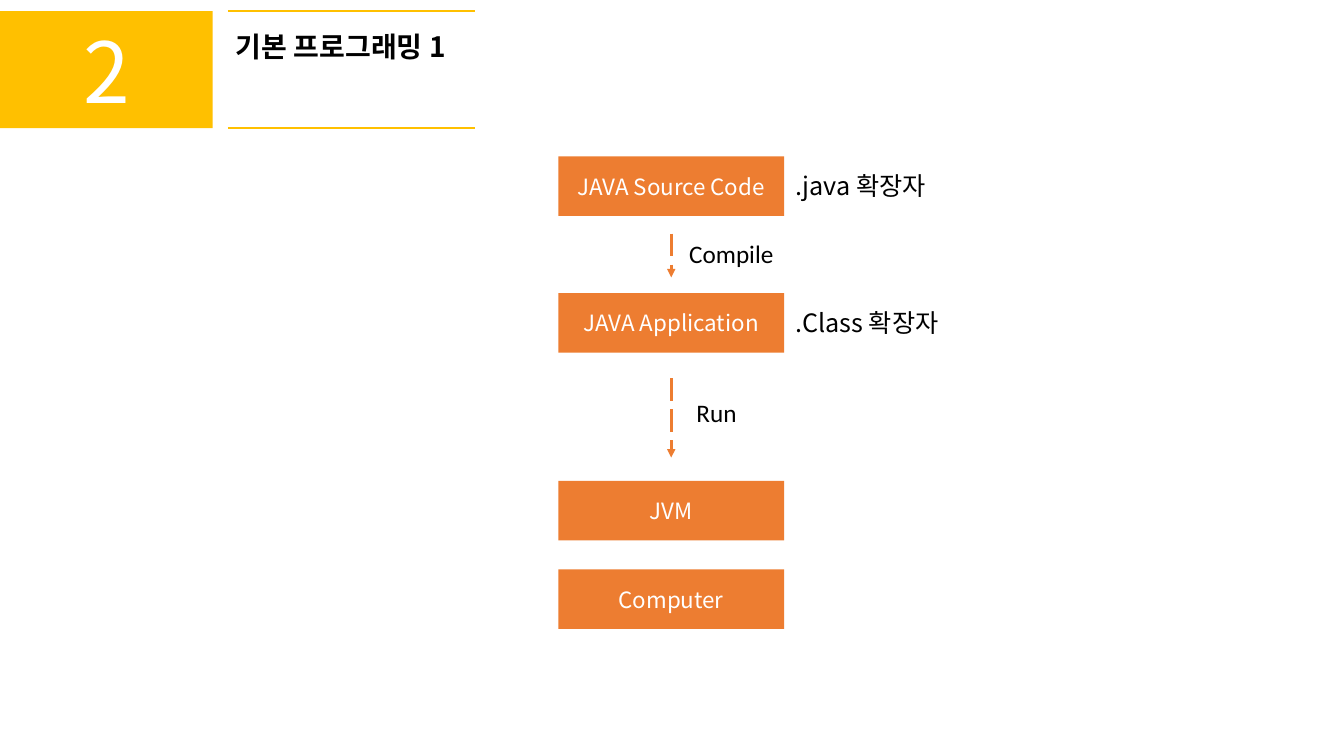
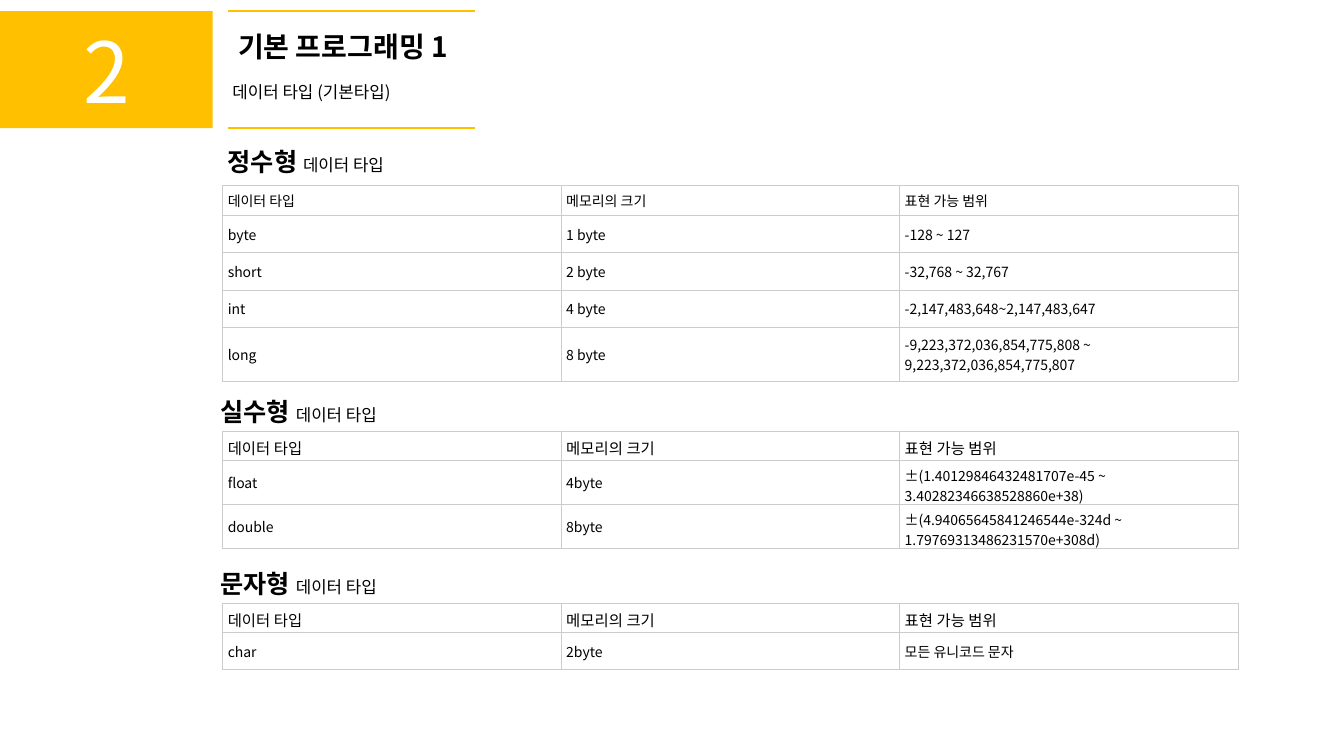
from lxml import etree
from pptx import Presentation
from pptx.dml.color import RGBColor
from pptx.enum.dml import MSO_LINE
from pptx.enum.shapes import MSO_CONNECTOR, MSO_SHAPE
from pptx.enum.text import MSO_ANCHOR, MSO_AUTO_SIZE, PP_ALIGN
from pptx.oxml.ns import qn
from pptx.util import Cm, Pt

# Palette and fonts
GOLD = RGBColor(0xFF, 0xC0, 0x00)
ORANGE = RGBColor(0xED, 0x7D, 0x31)
WHITE = RGBColor(0xFF, 0xFF, 0xFF)
BLACK = RGBColor(0x00, 0x00, 0x00)
GRID = RGBColor(0xCC, 0xCC, 0xCC)
KOREAN, LATIN = "Noto Sans CJK KR", "Calibri"

# Enum members
RECTANGLE = MSO_SHAPE.RECTANGLE
STRAIGHT = MSO_CONNECTOR.STRAIGHT
LONG_DASH = MSO_LINE.LONG_DASH
TOP, MIDDLE = MSO_ANCHOR.TOP, MSO_ANCHOR.MIDDLE
LEFT, CENTER = PP_ALIGN.LEFT, PP_ALIGN.CENTER
FIT_SHAPE = MSO_AUTO_SIZE.SHAPE_TO_FIT_TEXT


class Deck:
    """Holds the style and the current slide; lengths are in centimetres."""

    def __init__(self):
        self.prs = Presentation()
        self.prs.slide_width, self.prs.slide_height = Cm(33.87), Cm(19.05)
        self.slide = None

    def chapter_slide(self, number, title, left, width):
        self.slide = self.prs.slides.add_slide(self.prs.slide_layouts[5])
        heading = self.slide.shapes.title
        heading.left, heading.top = Cm(left), Cm(0.61)
        heading.width, heading.height = Cm(width), Cm(1.12)
        self.fit(heading.text_frame, CENTER)
        self.run(heading.text_frame, title, 20, bold=True)
        self.box(number, 0, 0.28, 5.36, 2.95, GOLD, 60)
        for y in (0.28, 3.23):
            self.line(5.74, y, 11.96, y, GOLD, 1.75)

    def fit(self, frame, align=LEFT, wrap=True):
        frame.word_wrap = wrap
        frame.auto_size = FIT_SHAPE
        frame.vertical_anchor = TOP
        frame.paragraphs[0].alignment = align

    def run(self, frame, text, size, color=BLACK, bold=False, font=KOREAN):
        run = frame.paragraphs[0].add_run()
        run.text = text
        run.font.size, run.font.bold = Pt(size), bold
        run.font.name = font
        run.font.color.rgb = color
        east_asian = etree.SubElement(run.font._element, qn("a:ea"))
        east_asian.set("typeface", font)

    def box(self, text, left, top, width, height, fill, size):
        shape = self.slide.shapes.add_shape(
            RECTANGLE, Cm(left), Cm(top), Cm(width), Cm(height))
        shape.shadow.inherit = False
        shape.fill.solid()
        shape.fill.fore_color.rgb = fill
        shape.line.fill.background()
        shape.text_frame.vertical_anchor = MIDDLE
        shape.text_frame.paragraphs[0].alignment = CENTER
        self.run(shape.text_frame, text, size, WHITE)

    def label(self, left, top, width, height=1.02, wrap=False):
        textbox = self.slide.shapes.add_textbox(
            Cm(left), Cm(top), Cm(width), Cm(height))
        self.fit(textbox.text_frame, wrap=wrap)
        return textbox.text_frame

    def line(self, x1, y1, x2, y2, color, weight):
        connector = self.slide.shapes.add_connector(
            STRAIGHT, Cm(x1), Cm(y1), Cm(x2), Cm(y2))
        connector.line.color.rgb = color
        connector.line.width = Pt(weight)
        etree.SubElement(connector._element.spPr, qn("a:effectLst"))
        return connector.line

    def arrow(self, x, top, bottom):
        line = self.line(x, top, x, bottom, ORANGE, 2)
        line.dash_style = LONG_DASH
        tail = etree.SubElement(line._get_or_add_ln(), qn("a:tailEnd"))
        tail.set("type", "triangle")

    def table(self, top, rows, heights, header_size):
        left, column_width = 5.61, 8.53
        table = self.slide.shapes.add_table(
            len(rows), 3, Cm(left), Cm(top),
            Cm(3 * column_width), Cm(sum(heights))).table
        table.first_row = table.horz_banding = False
        for column in table.columns:
            column.width = Cm(column_width)
        for r, (texts, height) in enumerate(zip(rows, heights)):
            table.rows[r].height = Cm(height)
            for c, text in enumerate(texts):
                self.cell(table.cell(r, c), text, 10 if r else header_size)

    def cell(self, cell, text, size):
        cell.margin_left = cell.margin_right = Cm(0.13)
        cell.margin_top = cell.margin_bottom = Cm(0.13)
        cell.vertical_anchor = MIDDLE
        cell.fill.background()
        self.run(cell.text_frame, text, size)
        properties = cell._tc.get_or_add_tcPr()
        for i, side in enumerate(("lnL", "lnR", "lnT", "lnB")):
            border = etree.Element(qn(f"a:{side}"), w=str(Pt(0.75)))
            fill = etree.SubElement(border, qn("a:solidFill"))
            etree.SubElement(fill, qn("a:srgbClr"), val=str(GRID))
            properties.insert(i, border)


def build_flow(deck):
    deck.chapter_slide("2", "기본 프로그래밍 1", 5.49, 6.2)

    # Stages from source code to machine
    left, width, height = 14.07, 5.69, 1.5
    stages = (("JAVA Source Code", 3.94), ("JAVA Application", 7.39),
              ("JVM", 12.12), ("Computer", 14.35))
    for stage, top in stages:
        deck.box(stage, left, top, width, height, ORANGE, 16)

    # File extensions beside the first two stages
    extensions = ((".java 확장자", 3.94), (".Class 확장자", 4.17))
    for (extension, label_width), (_, top) in zip(extensions, stages):
        deck.run(deck.label(19.79, top + 0.23, label_width), extension, 18)

    # Steps between stages
    for top, bottom in ((5.89, 6.99), (9.53, 11.53)):
        deck.arrow(left + width / 2, top, bottom)
    for step, x, y, label_width in (("Compile", 17.12, 5.89, 2.67),
                                    ("Run", 17.3, 9.88, 1.55)):
        deck.run(deck.label(x, y, label_width), step, 18, font=LATIN)


def build_data_types(deck):
    deck.chapter_slide("2", "기본 프로그래밍 1", 5.61, 6.07)
    deck.run(deck.label(5.61, 1.93, 6.2, 0.76, wrap=True),
             "데이터 타입 (기본타입)", 12)

    # Each family: name, heading left, top and width, table top,
    # header size, row heights, rows
    header = ("데이터 타입", "메모리의 크기", "표현 가능 범위")
    families = (
        ("정수형 ", 5.49, 3.56, 4.62, 4.67, 10, (0.76, 0.94, 0.94, 0.94, 1.35), (
            ("byte", "1 byte", "-128 ~ 127"),
            ("short", "2 byte", "-32,768 ~ 32,767"),
            ("int", "4 byte", "-2,147,483,648~2,147,483,647"),
            ("long", "8 byte",
             "-9,223,372,036,854,775,808 ~ 9,223,372,036,854,775,807"))),
        ("실수형 ", 5.31, 9.86, 4.8, 10.87, 11, (0.73, 1.11, 1.11), (
            ("float", "4byte",
             "±(1.40129846432481707e-45 ~ 3.40282346638528860e+38)"),
            ("double", "8byte",
             "±(4.94065645841246544e-324d ~ 1.79769313486231570e+308d)"))),
        ("문자형 ", 5.31, 14.2, 4.8, 15.21, 11, (0.73, 0.94), (
            ("char", "2byte", "모든 유니코드 문자"),)),
    )
    for name, left, top, width, table_top, size, heights, rows in families:
        heading = deck.label(left, top, width)
        deck.run(heading, name, 18, bold=True)
        deck.run(heading, "데이터 타입", 12)
        deck.table(table_top, (header, *rows), heights, size)


def main():
    deck = Deck()
    build_flow(deck)
    build_data_types(deck)
    deck.prs.save("out.pptx")


if __name__ == "__main__":
    main()
